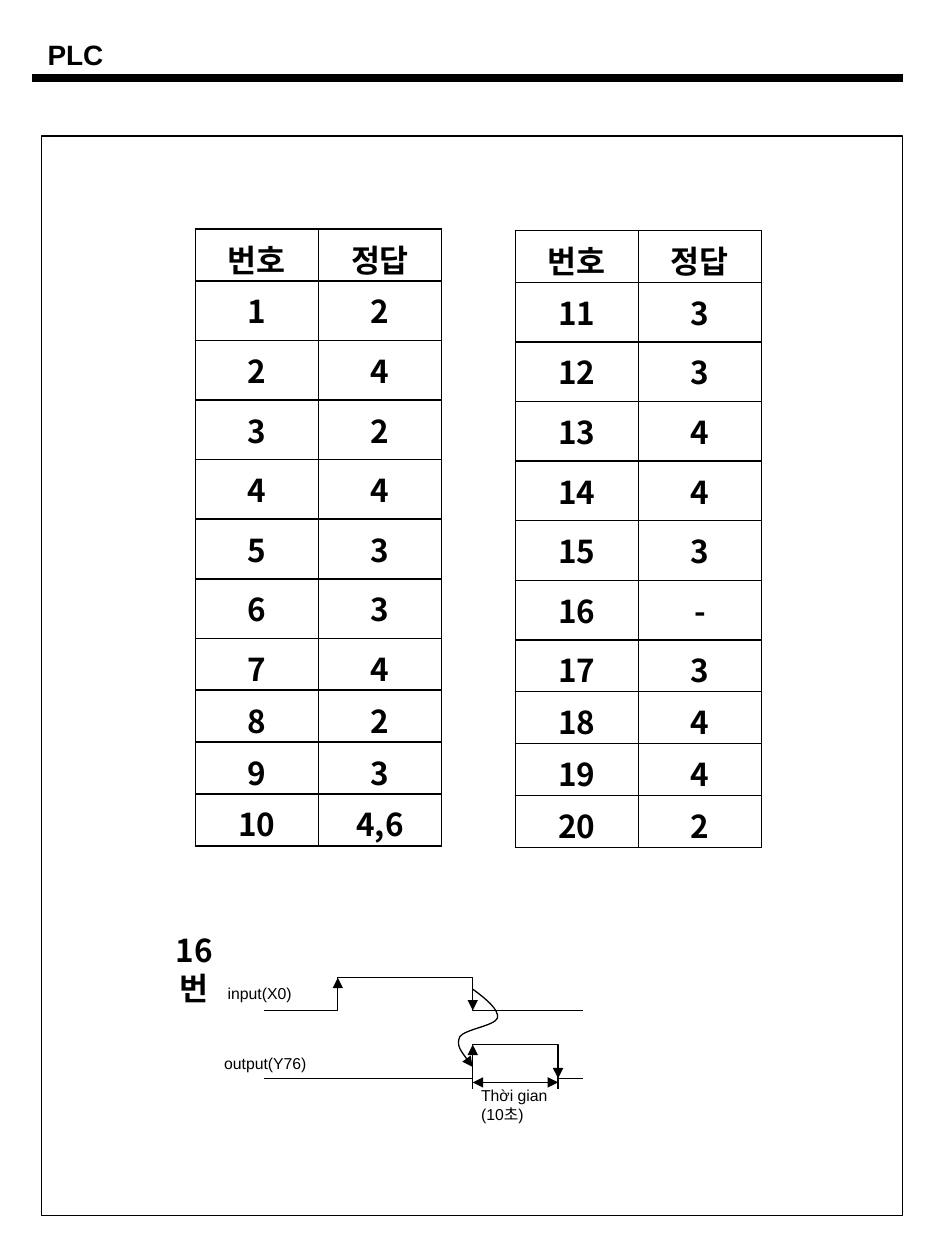
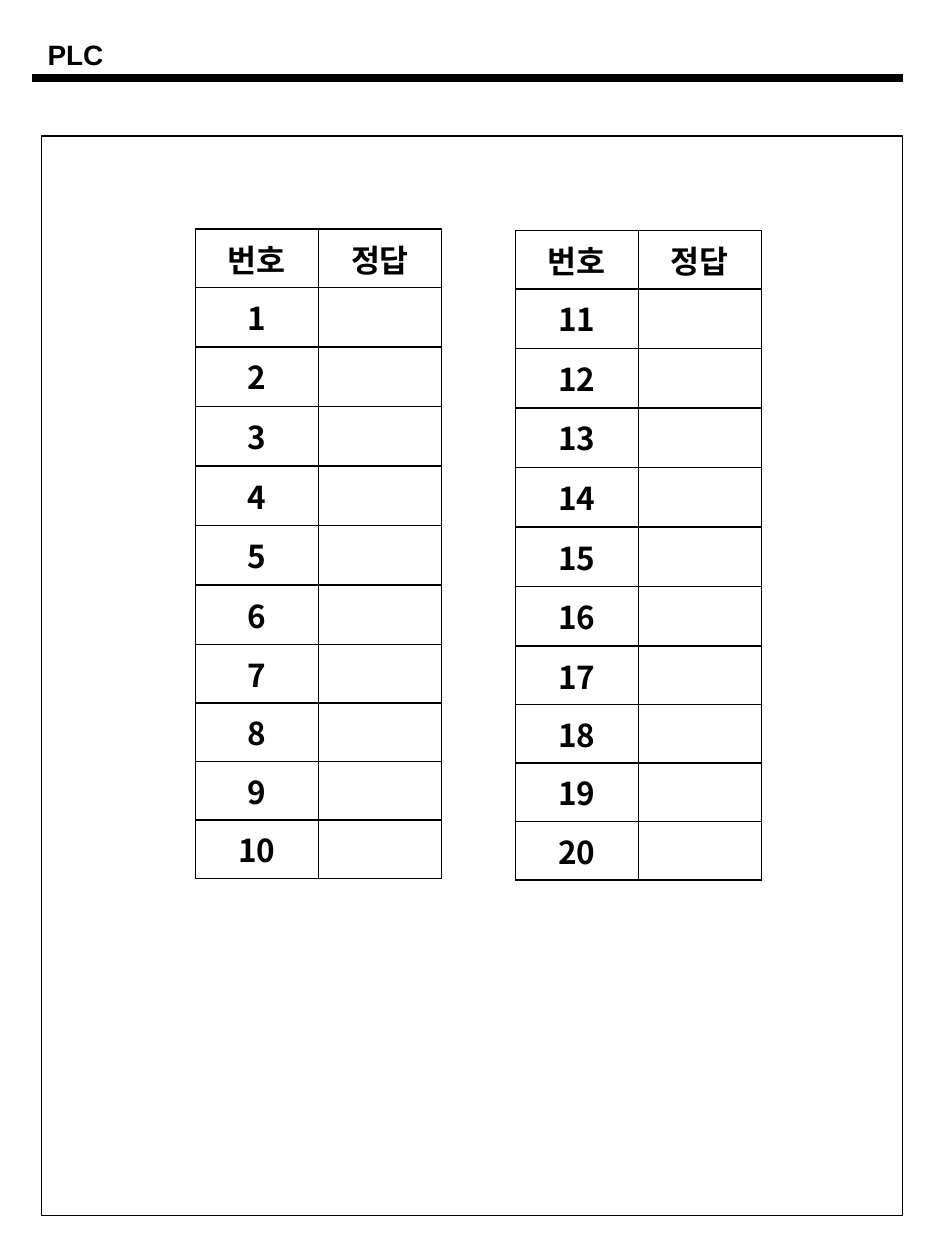
"""Build the PLC answer key and its blank answer sheet."""
from dataclasses import dataclass

from lxml import etree
from pptx import Presentation
from pptx.dml.color import RGBColor
from pptx.enum.shapes import MSO_CONNECTOR, MSO_SHAPE
from pptx.enum.text import MSO_AUTO_SIZE, PP_ALIGN
from pptx.oxml.ns import qn
from pptx.util import Cm, Pt

BLACK = RGBColor(0, 0, 0)
WHITE = RGBColor(255, 255, 255)
LATIN = "Arial"
HANGUL = "Noto Sans CJK KR"
STRAIGHT = MSO_CONNECTOR.STRAIGHT
RECT = MSO_SHAPE.RECTANGLE
CENTER = PP_ALIGN.CENTER
LEFT = PP_ALIGN.LEFT
GROW = MSO_AUTO_SIZE.SHAPE_TO_FIT_TEXT
FIXED = MSO_AUTO_SIZE.NONE

TITLE = {"name": LATIN, "size": Pt(16), "bold": True}
GRID = {"name": HANGUL, "size": Pt(18), "bold": True}
SMALL = {"name": LATIN, "size": Pt(9), "bold": False}
PLAIN = {"first_row": False, "horz_banding": False}

HEADS = ("번호", "정답")
ROWS = [1.04] + [1.2] * 6 + [1.04] * 4
COL = 2.48

START, RISE, FALL, STOP, END = 5.33, 6.81, 9.53, 11.25, 11.76
IN_HIGH, IN_LOW, OUT_HIGH, OUT_LOW = 19.71, 20.37, 21.06, 21.74
TICK, SPAN = 21.95, 21.82

Point = tuple[float, float]


@dataclass
class Label:
    """A text box in centimetres."""
    text: str
    left: float
    top: float
    width: float
    height: float
    style: dict
    align: object = LEFT
    wrap: bool = True
    fit: object = FIXED


@dataclass
class Line:
    """A straight line with optional arrowheads."""
    begin: Point
    end: Point
    weight: float = 0.75
    heads: tuple[str, ...] = ()


@dataclass
class Sheet:
    """One answer table and its place."""
    left: float
    top: float
    first: int
    answers: tuple[str, ...]
    filled: bool


TOP_TEXT = Label("PLC", 0.71, 0.64, 1.65, 0.94, TITLE, wrap=False, fit=GROW)
RULE = Line((0.64, 1.57), (18.21, 1.57), 4.5)
ITEM = Label("16번", 3.03, 18.64, 1.78, 1.02, GRID, CENTER, fit=GROW)
KEYS = (
    Sheet(3.94, 4.62, 1, ("2", "4", "2", "4", "3", "3", "4", "2", "3", "4,6"), True),
    Sheet(10.39, 4.65, 11, ("3", "3", "4", "4", "3", "-", "3", "4", "4", "2"), False),
)
SIGNALS = (
    [(START, IN_LOW), (RISE, IN_LOW), (RISE, IN_HIGH),
     (FALL, IN_HIGH), (FALL, IN_LOW), (END, IN_LOW)],
    [(START, OUT_LOW), (FALL, OUT_LOW), (FALL, OUT_HIGH),
     (STOP, OUT_HIGH), (STOP, OUT_LOW), (END, OUT_LOW)],
)
CURVE = [
    (FALL, 19.94), (9.8, 20.14), (10.06, 20.35), (10.03, 20.52),
    (9.98, 20.68), (9.37, 20.75), (9.27, 20.9),
    (9.19, 21.08), (9.37, 21.29), (FALL, 21.51),
]
EDGES = (
    Line((RISE, IN_LOW), (RISE, IN_HIGH), heads=("tailEnd",)),
    Line((FALL, IN_HIGH), (FALL, IN_LOW), heads=("tailEnd",)),
    Line((FALL, OUT_LOW), (FALL, OUT_HIGH), heads=("tailEnd",)),
    Line((STOP, OUT_HIGH), (STOP, OUT_LOW), heads=("tailEnd",)),
    Line((FALL, OUT_LOW), (FALL, TICK)),
    Line((STOP, OUT_LOW), (STOP, TICK)),
    Line((FALL, SPAN), (STOP, SPAN), heads=("headEnd", "tailEnd")),
)
NAMES = (
    Label("input(X0)", 4.34, 19.71, 1.85, 0.69, SMALL),
    Label("output(Y76)", 4.27, 21.11, 2.31, 0.69, SMALL),
    Label("Thời gian\n(10초)", 9.45, 21.77, 1.98, 1.09, SMALL),
)


def apply(target: object, values: dict) -> None:
    """Set attributes from a dict of format values."""
    for name, value in values.items():
        setattr(target, name, value)


def write(frame: object, text: str, style: dict, align: object) -> None:
    """Fill a text frame with styled paragraphs."""
    frame.text = text
    for para in frame.paragraphs:
        para.alignment = align
        for run in para.runs:
            apply(run.font, style)
            run.font.color.rgb = BLACK
            face = etree.SubElement(run._r.get_or_add_rPr(), qn("a:ea"))
            face.set("typeface", HANGUL)


def add_label(shapes: object, label: Label) -> None:
    """Draw a text box."""
    box = shapes.add_textbox(Cm(label.left), Cm(label.top), Cm(label.width), Cm(label.height))
    frame = box.text_frame
    write(frame, label.text, label.style, label.align)
    apply(frame, {"word_wrap": label.wrap, "auto_size": label.fit})


def stroke(shape: object, weight: float, heads: tuple[str, ...] = ()) -> None:
    """Give a shape a black line and its arrowheads."""
    shape.line.color.rgb = BLACK
    shape.line.width = Pt(weight)
    outline = shape._element.spPr.find(qn("a:ln"))
    for head in heads:
        etree.SubElement(outline, qn(f"a:{head}")).set("type", "triangle")


def add_line(shapes: object, line: Line) -> None:
    """Draw a straight connector without a shadow."""
    ends = [Cm(value) for value in line.begin + line.end]
    shape = shapes.add_connector(STRAIGHT, *ends)
    stroke(shape, line.weight, line.heads)
    etree.SubElement(shape._element.spPr, qn("a:effectLst"))


def add_trace(shapes: object, points: list[Point], heads: tuple[str, ...] = ()) -> object:
    """Draw an open outline through the points."""
    spots = [(Cm(x), Cm(y)) for x, y in points]
    pen = shapes.build_freeform(*spots[0])
    pen.add_line_segments(spots[1:], close=False)
    shape = pen.convert_to_shape()
    shape.shadow.inherit = False
    shape.fill.background()
    stroke(shape, 0.75, heads)
    return shape


def add_curve(shapes: object, points: list[Point]) -> None:
    """Draw a Bezier arrow from a start and triples of points."""
    shape = add_trace(shapes, points, ("tailEnd",))
    route = next(shape._element.iter(qn("a:path")))
    steps = route.findall(qn("a:lnTo"))
    for start in range(0, len(steps), 3):
        bend = etree.SubElement(route, qn("a:cubicBezTo"))
        for step in steps[start:start + 3]:
            bend.append(step[0])
            route.remove(step)


def add_border(cell: object) -> None:
    """Draw a black line on each side of a cell."""
    props = cell._tc.get_or_add_tcPr()
    for side in ("lnL", "lnR", "lnT", "lnB"):
        edge = etree.SubElement(props, qn(f"a:{side}"), w=str(Pt(1)))
        paint = etree.SubElement(edge, qn("a:solidFill"))
        etree.SubElement(paint, qn("a:srgbClr"), val=str(BLACK))


def add_sheet(shapes: object, sheet: Sheet, solved: bool) -> None:
    """Draw an answer table, with or without answers."""
    place = [Cm(value) for value in (sheet.left, sheet.top, 2 * COL, sum(ROWS))]
    table = shapes.add_table(len(ROWS), 2, *place).table
    apply(table, PLAIN)
    for column in table.columns:
        column.width = Cm(COL)
    lines = [HEADS]
    for number, answer in enumerate(sheet.answers, sheet.first):
        lines.append((str(number), answer if solved else ""))
    for row, height, texts in zip(table.rows, ROWS, lines):
        row.height = Cm(height)
        for index, (cell, text) in enumerate(zip(row.cells, texts)):
            write(cell.text_frame, text, GRID, CENTER)
            cell.margin_bottom = Cm(0 if solved else 0.13)
            add_border(cell)
            if sheet.filled and index == 1:
                cell.fill.solid()
                cell.fill.fore_color.rgb = WHITE
            else:
                cell.fill.background()


def add_timing(shapes: object) -> None:
    """Draw the timing chart for item 16 as a group."""
    group = shapes.add_group_shape().shapes
    for signal in SIGNALS:
        add_trace(group, signal)
    for edge in EDGES:
        add_line(group, edge)
    add_curve(group, CURVE)
    for name in NAMES:
        add_label(group, name)


def add_page(deck: object, solved: bool) -> None:
    """Add a page with its heading, frame and two tables."""
    shapes = deck.slides.add_slide(deck.slide_layouts[6]).shapes
    add_line(shapes, RULE)
    frame = shapes.add_shape(RECT, Cm(0.84), Cm(2.74), Cm(17.35), Cm(21.77))
    frame.shadow.inherit = False
    frame.fill.background()
    stroke(frame, 0.75)
    for sheet in KEYS:
        add_sheet(shapes, sheet, solved)
    if solved:
        add_timing(shapes)
        add_label(shapes, ITEM)
    add_label(shapes, TOP_TEXT)


def main() -> None:
    """Build and save both pages."""
    deck = Presentation()
    apply(deck, {"slide_width": Cm(19.05), "slide_height": Cm(25.4)})
    for solved in (True, False):
        add_page(deck, solved)
    deck.save("out.pptx")


if __name__ == "__main__":
    main()
